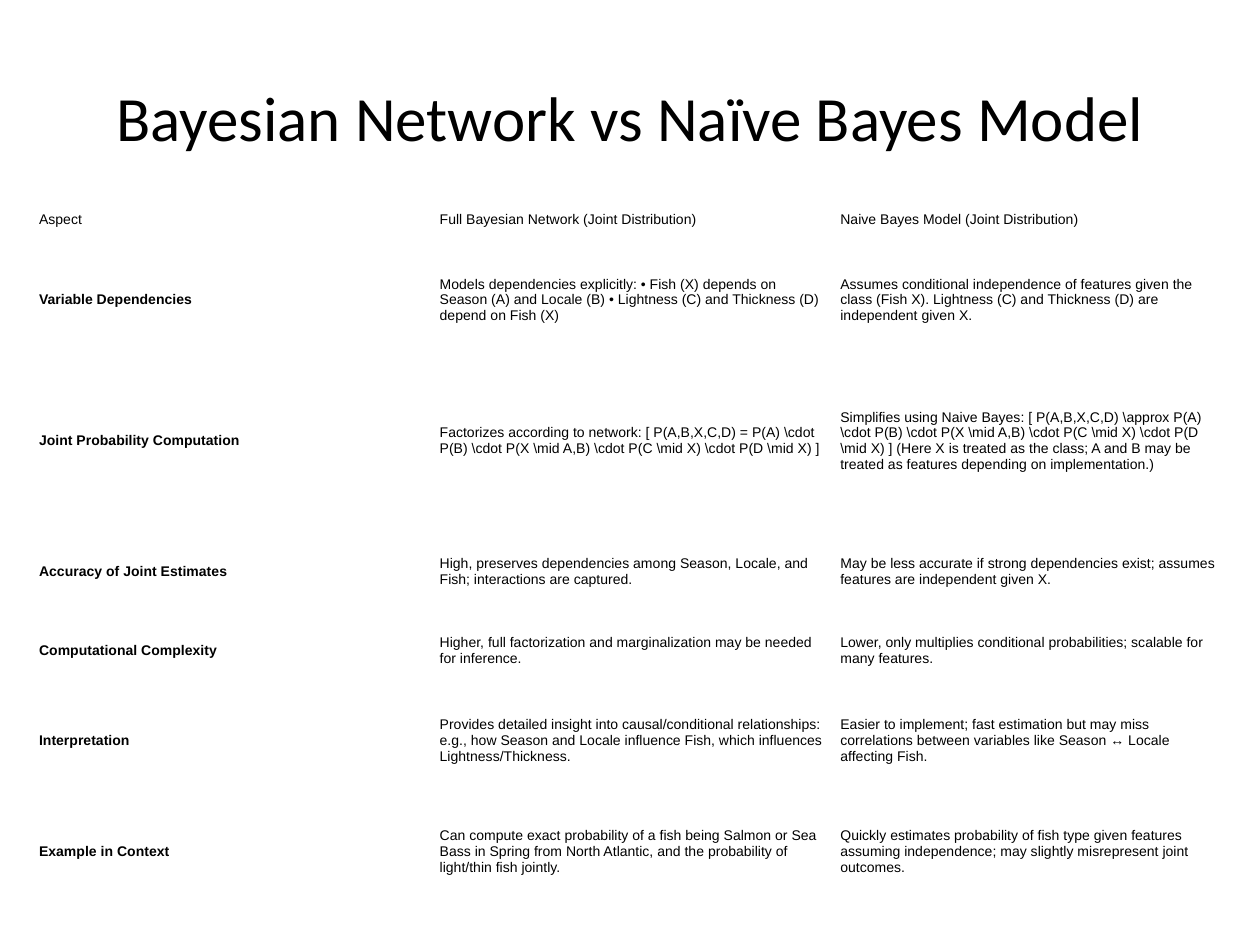
from dataclasses import dataclass

from pptx import Presentation
from pptx.dml.color import RGBColor
from pptx.enum.text import MSO_ANCHOR, PP_ALIGN
from pptx.util import Inches, Pt

MIDDLE = MSO_ANCHOR.MIDDLE
LEFT, CENTER = PP_ALIGN.LEFT, PP_ALIGN.CENTER
COLORS = {"text": "000000"}
COL_WIDTH = 3.18


@dataclass
class Row:
    height: float
    aspect: str
    network: str
    naive: str
    bold: bool = True


ROWS = [
    Row(0.39, "Aspect", "Full Bayesian Network (Joint Distribution)",
        "Naive Bayes Model (Joint Distribution)", bold=False),
    Row(0.88, "Variable Dependencies",
        "Models dependencies explicitly: • Fish (X) depends on Season (A) and "
        "Locale (B) • Lightness (C) and Thickness (D) depend on Fish (X)",
        "Assumes conditional independence of features given the class (Fish X). "
        "Lightness (C) and Thickness (D) are independent given X."),
    Row(1.36, "Joint Probability Computation",
        r"Factorizes according to network: [ P(A,B,X,C,D) = P(A) \cdot P(B) "
        r"\cdot P(X \mid A,B) \cdot P(C \mid X) \cdot P(D \mid X) ]",
        r"Simplifies using Naive Bayes: [ P(A,B,X,C,D) \approx P(A) \cdot P(B) "
        r"\cdot P(X \mid A,B) \cdot P(C \mid X) \cdot P(D \mid X) ] "
        "(Here X is treated as the class; A and B may be treated as features "
        "depending on implementation.)"),
    Row(0.71, "Accuracy of Joint Estimates",
        "High, preserves dependencies among Season, Locale, and Fish; "
        "interactions are captured.",
        "May be less accurate if strong dependencies exist; assumes features "
        "are independent given X."),
    Row(0.55, "Computational Complexity",
        "Higher, full factorization and marginalization may be needed for inference.",
        "Lower, only multiplies conditional probabilities; scalable for many features."),
    Row(0.88, "Interpretation",
        "Provides detailed insight into causal/conditional relationships: e.g., "
        "how Season and Locale influence Fish, which influences Lightness/Thickness.",
        "Easier to implement; fast estimation but may miss correlations between "
        "variables like Season ↔ Locale affecting Fish."),
    Row(0.88, "Example in Context",
        "Can compute exact probability of a fish being Salmon or Sea Bass in Spring "
        "from North Atlantic, and the probability of light/thin fish jointly.",
        "Quickly estimates probability of fish type given features assuming "
        "independence; may slightly misrepresent joint outcomes."),
]


def write(frame, text: str, *, size: float, font: str, bold: bool = False,
          align=LEFT, color: str = "text") -> None:
    para = frame.paragraphs[0]
    para.alignment = align
    run = para.add_run()
    run.text = text
    run.font.size = Pt(size)
    run.font.name = font
    run.font.bold = bold
    run.font.color.rgb = RGBColor.from_string(COLORS[color])


def fill_cell(cell, text: str, bold: bool) -> None:
    cell.fill.background()
    cell.vertical_anchor = MIDDLE
    cell.margin_left = cell.margin_right = Inches(0.06)
    cell.margin_top = cell.margin_bottom = Inches(0.03)
    write(cell.text_frame, text, size=8, font="Arial", bold=bold)


def add_title(slide, text: str) -> None:
    title = slide.shapes.title
    title.left, title.top = Inches(0.5), Inches(0.3)
    title.width, title.height = Inches(9), Inches(1.25)
    title.text_frame.vertical_anchor = MIDDLE
    write(title.text_frame, text, size=36, font="Calibri", align=CENTER)


def add_grid(slide, rows: list[Row]) -> None:
    height = sum(row.height for row in rows)
    table = slide.shapes.add_table(
        len(rows), 3, Inches(0.25), Inches(1.55),
        Inches(3 * COL_WIDTH), Inches(height)).table
    table.first_row = table.horz_banding = False
    for col in table.columns:
        col.width = Inches(COL_WIDTH)
    for i, row in enumerate(rows):
        table.rows[i].height = Inches(row.height)
        for j, text in enumerate((row.aspect, row.network, row.naive)):
            fill_cell(table.cell(i, j), text, row.bold and j == 0)


def main() -> None:
    deck = Presentation()
    deck.slide_width, deck.slide_height = Inches(10), Inches(7.5)
    # Title Only layout
    slide = deck.slides.add_slide(deck.slide_layouts[5])
    add_title(slide, "Bayesian Network vs Naïve Bayes Model")
    # Comparison table
    add_grid(slide, ROWS)
    deck.save("out.pptx")


if __name__ == "__main__":
    main()
